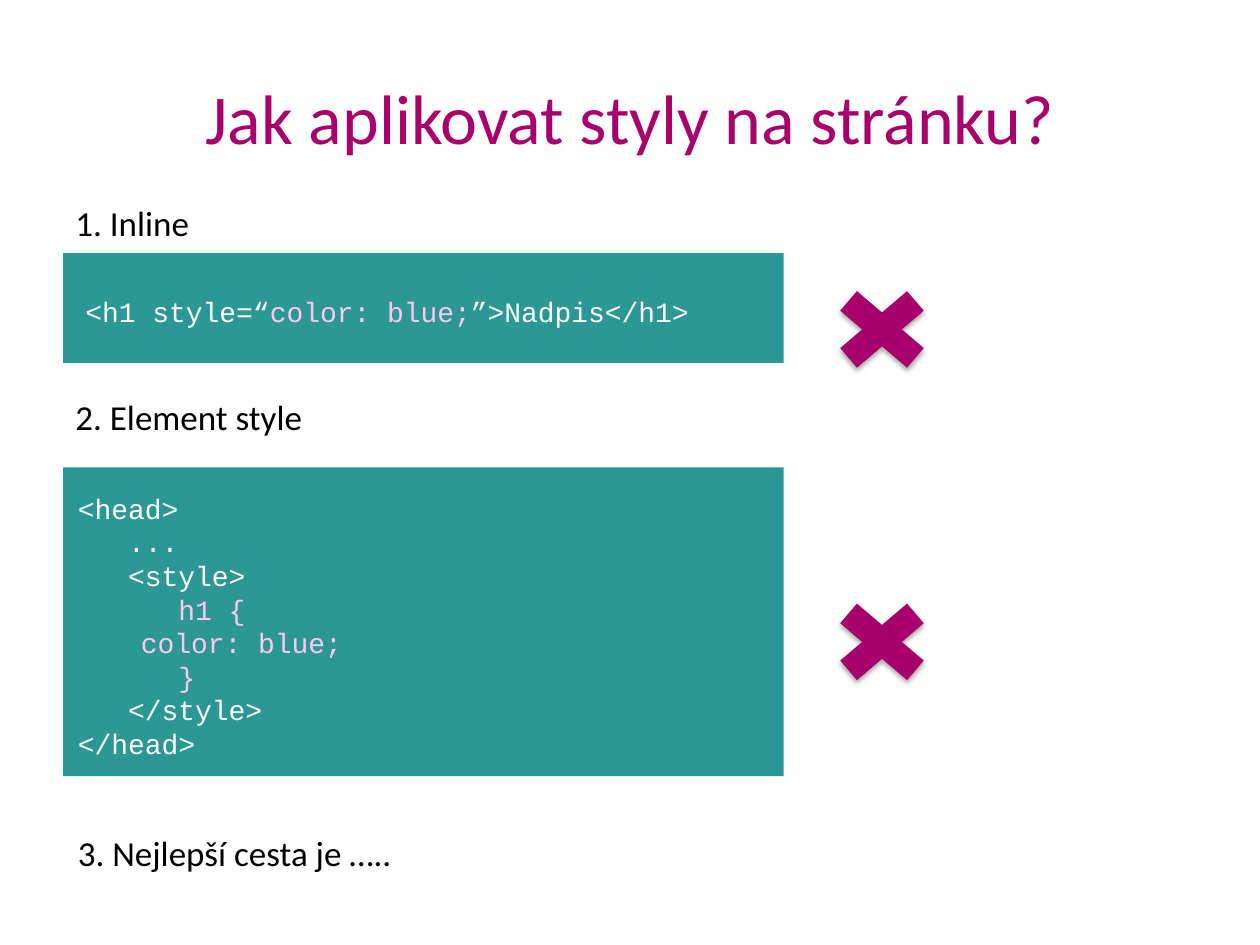
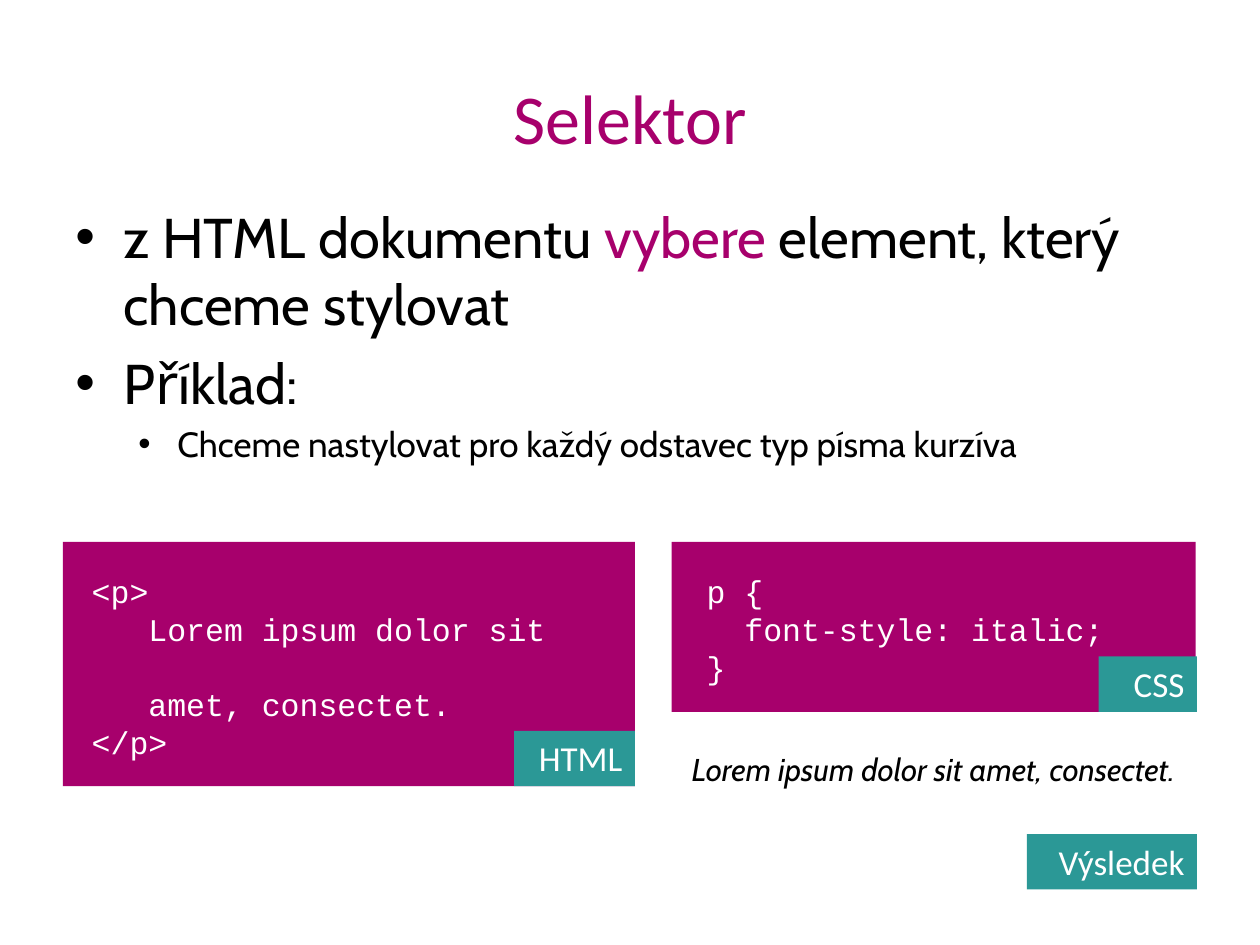
from lxml.etree import SubElement as Sub
from pptx import Presentation
from pptx.dml.color import RGBColor
from pptx.enum.shapes import MSO_SHAPE as Kind
from pptx.enum.text import MSO_ANCHOR as Anchor, PP_ALIGN as Align
from pptx.oxml.ns import qn
from pptx.util import Inches, Pt

PLUM = RGBColor(0xA7, 0x00, 0x6C)
TEAL = RGBColor(0x2B, 0x98, 0x96)
PINK = RGBColor(0xFF, 0xC9, 0xEF)
WHITE = RGBColor(0xFF, 0xFF, 0xFF)
BLACK = RGBColor(0x00, 0x00, 0x00)

SANS, BODY, MONO = "Calibri", "Cabin", "Courier New"
COLS, ROWS = 20, 15
TAG_H = 0.88


class Deck:
    """Places elements on the current slide, in columns and rows of the grid."""

    def __init__(self):
        self.prs = Presentation()
        self.prs.slide_width, self.prs.slide_height = Inches(10), Inches(7.5)
        self.col = self.prs.slide_width / COLS
        self.row = self.prs.slide_height / ROWS
        self.slide = None

    def page(self, title):
        self.slide = self.prs.slides.add_slide(self.prs.slide_layouts[6])
        box = self.text((1, 0.6, 18, 2.5), [title], 40, PLUM, align=Align.CENTER)
        box.text_frame.vertical_anchor = Anchor.MIDDLE

    def place(self, box):
        x, y, w, h = box
        return (round(x * self.col), round(y * self.row),
                round(w * self.col), round(h * self.row))

    def shape(self, kind, box, fill):
        item = self.slide.shapes.add_shape(kind, *self.place(box))
        item.shadow.inherit = False
        item.fill.solid()
        item.fill.fore_color.rgb = fill
        item.line.fill.background()
        return item

    def run(self, para, words, size, color, font=SANS, slant=None):
        run = para.add_run()
        run.text = words
        run.font.name, run.font.size = font, Pt(size)
        run.font.color.rgb = color
        run.font.italic = slant

    def label(self, item, lines, size, color, align=Align.LEFT, **style):
        """Fill item; a line is a string or a list of (text, colour) runs."""
        frame = item.text_frame
        frame.word_wrap = True
        frame.vertical_anchor = Anchor.TOP
        for i, line in enumerate(lines):
            para = frame.paragraphs[0] if i == 0 else frame.add_paragraph()
            para.alignment = align
            for part, tint in [(line, color)] if isinstance(line, str) else line:
                self.run(para, part, size, tint, **style)
        return item

    def text(self, box, lines, size, color=BLACK, **style):
        item = self.slide.shapes.add_textbox(*self.place(box))
        return self.label(item, lines, size, color, **style)

    def code(self, panel, box, lines, size, fill):
        self.shape(Kind.RECTANGLE, panel, fill)
        return self.text(box, lines, size, WHITE, font=MONO)

    def tag(self, right, foot, width, name):
        """Teal label set by its lower right corner."""
        item = self.shape(Kind.RECTANGLE,
                          (right - width, foot - TAG_H, width, TAG_H), TEAL)
        self.label(item, [name], 20, WHITE, align=Align.RIGHT)

    def cross(self, x, y):
        item = self.shape(Kind.MATH_MULTIPLY, (x, y, 2.04, 1.74), PLUM)
        effects = item._element.spPr.find(qn("a:effectLst"))
        shade = Sub(effects, qn("a:outerShdw"), blurRad=str(Pt(3.1)),
                    dist=str(Pt(1.8)), dir="5400000", rotWithShape="0")
        Sub(Sub(shade, qn("a:srgbClr"), val="000000"), qn("a:alpha"), val="35000")

    def bullet(self, para, left, hang, gap=0):
        props = para._p.get_or_add_pPr()
        props.set("marL", str(Inches(left)))
        props.set("indent", str(-Inches(hang)))
        para.space_before = Pt(gap)
        Sub(props, qn("a:buFont"), typeface="Arial")
        Sub(props, qn("a:buChar"), char="•")


def styles(deck):
    deck.page("Jak aplikovat styly na stránku?")
    deck.text((1, 3.1, 5.5, TAG_H), ["1. Inline"], 20)
    deck.text((1, 6.18, 5.5, TAG_H), ["2. Element style"], 20)
    deck.text((1.04, 13.1, 11.94, TAG_H), ["3. Nejlepší cesta je ….."], 20)
    deck.code((1, 4.02, 11.44, 1.74), (1.16, 4.58, 10.92, 0.74),
              [[("<h1 style=“", WHITE), ("color: blue;", PINK),
                ("”>Nadpis</h1>", WHITE)]], 16, TEAL)
    deck.code((1, 7.42, 11.44, 4.9), (1.04, 7.7, 10.92, 5.04),
              ["<head>", "   ...", "   <style>",
               [("      h1 {", PINK)], [("\tcolor: blue;", PINK)],
               [("      }", PINK)], "   </style>", "</head>"], 16, TEAL)
    for y in (4.36, 9.32):
        deck.cross(12.98, y)


def select(deck):
    deck.page("Selektor")
    body = deck.text((1, 3.12, 18, 4.8),
                     [[("z HTML dokumentu ", BLACK), ("vybere", PLUM),
                       (" element, který chceme stylovat", BLACK)],
                      "Příklad:"], 32, font=BODY)
    frame = body.text_frame
    first, second = frame.paragraphs
    third = frame.add_paragraph()
    third.level = 1
    deck.bullet(first, 0.38, 0.38)
    deck.bullet(second, 0.38, 0.38, 6.4)
    deck.bullet(third, 0.81, 0.31, 4)
    deck.run(third, "Chceme nastylovat pro každý odstavec typ písma kurzíva",
             20, BLACK, BODY)

    deck.code((10.66, 8.6, 8.32, 2.7), (11.02, 8.98, 7.74, 2.02),
              ["p {", "  font-style: italic;", "}"], 18, PLUM)
    html = deck.code((1, 8.6, 9.08, 3.88), (1.26, 8.98, 7.74, 2.62),
                     ["<p>", "   Lorem ipsum dolor sit",
                      "   amet, consectet.", "</p>"], 18, PLUM)
    html.text_frame.paragraphs[2].space_before = Pt(21.5)
    deck.text((10.78, 11.8, 9, 0.8), ["Lorem ipsum dolor sit amet, consectet."],
              18, font=BODY, slant=True)
    for right, foot, width, name in ((19, 11.3, 1.56, "CSS"),
                                     (10.08, 12.48, 1.92, "HTML"),
                                     (19, 14.12, 2.7, "Výsledek")):
        deck.tag(right, foot, width, name)


def main():
    deck = Deck()
    styles(deck)
    select(deck)
    deck.prs.save("out.pptx")


if __name__ == "__main__":
    main()
